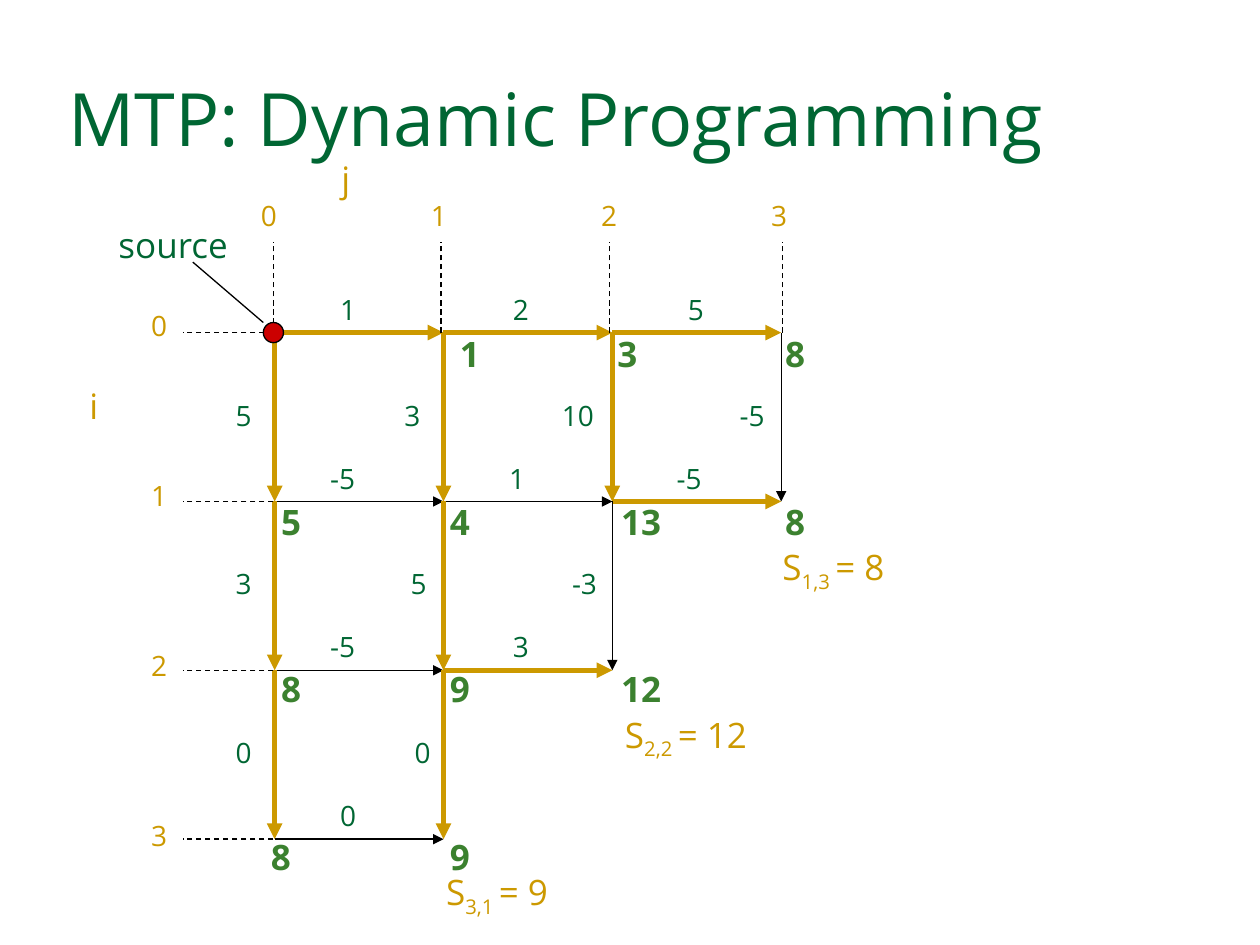
from lxml import etree
from pptx import Presentation
from pptx.dml.color import RGBColor
from pptx.enum.dml import MSO_LINE
from pptx.enum.shapes import MSO_CONNECTOR, MSO_SHAPE
from pptx.enum.text import MSO_ANCHOR
from pptx.oxml.ns import qn
from pptx.util import Inches, Pt

FONT = "Open Sans"
GREEN, GOLD, SCORE_GREEN = "006633", "CC9900", "3B812F"
BLACK, RED = "000000", "CC0000"

LEFT, TOP, STEP = 2.18, 2.64, 1.34
DASH = 0.72

# (row, column, weight, on a best path, label left)
ACROSS = [
    (0, 0, "1", True, 2.66), (0, 1, "2", True, 4.03), (0, 2, "5", True, 5.42),
    (1, 0, "-5", False, 2.58), (1, 1, "1", False, 4.0), (1, 2, "-5", True, 5.33),
    (2, 0, "-5", False, 2.58), (2, 1, "3", True, 4.03),
    (3, 0, "0", False, 2.66),
]
DOWN = [
    (0, 0, "5", True, 1.83), (0, 1, "3", True, 3.17),
    (0, 2, "10", True, 4.42), (0, 3, "-5", False, 5.83),
    (1, 0, "3", True, 1.83), (1, 1, "5", True, 3.22), (1, 2, "-3", False, 4.5),
    (2, 0, "0", True, 1.83), (2, 1, "0", True, 3.25),
]
# (row, score, left)
SCORES = [
    (0, "1", 3.61), (0, "3", 4.86), (0, "8", 6.19),
    (1, "5", 2.19), (1, "4", 3.53), (1, "13", 4.89), (1, "8", 6.19),
    (2, "8", 2.19), (2, "9", 3.53), (2, "12", 4.89),
    (3, "8", 2.11), (3, "9", 3.53),
]
# (subscript, value, left, top, width)
RESULTS = [
    ("3,1 ", "= 9", 3.5, 6.91, 1.17),
    ("2,2 ", "= 12", 4.92, 5.66, 1.42),
    ("1,3 ", "= 8", 6.17, 4.33, 1.17),
]
DASH_COLUMNS = [2.17, 3.5, 4.84, 6.21]

prs = Presentation()
prs.slide_width, prs.slide_height = Inches(10), Inches(7.5)
s = prs.slides.add_slide(prs.slide_layouts[6])


def rgb(value):
    return RGBColor.from_string(value)


def add_text(text, x, y, w, h, size=16, color=GREEN, bold=False, wrap=True):
    """Add a text box; text is a string or a list of (string, baseline) runs."""
    tf = s.shapes.add_textbox(Inches(x), Inches(y), Inches(w), Inches(h)).text_frame
    tf.word_wrap = wrap
    tf.vertical_anchor = MSO_ANCHOR.TOP
    tf.margin_left = tf.margin_right = Inches(0.04)
    tf.margin_top = tf.margin_bottom = 0
    p = tf.paragraphs[0]
    for part, baseline in [(text, 0)] if isinstance(text, str) else text:
        r = p.add_run()
        r.text = part
        r.font.name, r.font.size, r.font.bold = FONT, Pt(size), bold
        r.font.color.rgb = rgb(color)
        if baseline:
            r.font._element.set("baseline", str(baseline * 1000))


def add_line(x1, y1, x2, y2, color=BLACK, width=0.75, dashed=False, arrow=False):
    c = s.shapes.add_connector(MSO_CONNECTOR.STRAIGHT, Inches(x1), Inches(y1),
                               Inches(x2), Inches(y2))
    c.line.color.rgb = rgb(color)
    c.line.width = Pt(width)
    if dashed:
        c.line.dash_style = MSO_LINE.DASH
    sp_pr = c._element.spPr
    if arrow:
        etree.SubElement(sp_pr.find(qn("a:ln")), qn("a:tailEnd"), type="triangle")
    etree.SubElement(sp_pr, qn("a:effectLst"))


def add_edge(row, col, d_row, d_col, best):
    x, y = LEFT + STEP * col, TOP + STEP * row
    add_line(x, y, x + STEP * d_col, y + STEP * d_row, arrow=True,
             color=GOLD if best else BLACK, width=3 if best else 0.75)


add_text("MTP: Dynamic Programming", 0.5, 0.58, 9.08, 0.81, size=42)

for row, col, weight, best, x in ACROSS:
    add_edge(row, col, 0, 1, best)
    add_text(weight, x, TOP - 0.32 + STEP * row, 0.42, 0.36)
for row, col, weight, best, x in DOWN:
    add_edge(row, col, 1, 0, best)
    add_text(weight, x, TOP + 0.52 + STEP * row, 0.5, 0.36)

for n, x in enumerate(DASH_COLUMNS):
    y = TOP + STEP * n
    add_line(x, TOP, x, TOP - DASH, dashed=True)
    add_line(2.17, y, 2.17 - DASH, y, dashed=True)
    add_text(str(n), 2.03 + 1.35 * n, 1.58, 0.22, 0.27, color=GOLD, wrap=False)
    add_text(str(n), 1.16, 2.45 + 1.35 * n, 0.22, 0.27, color=GOLD, wrap=False)

add_text("i", 0.67, 3.05, 0.35, 0.43, size=20, color=GOLD)
add_text("j", 2.67, 1.25, 0.35, 0.43, size=20, color=GOLD)

source = s.shapes.add_shape(MSO_SHAPE.OVAL, Inches(2.09), Inches(2.56),
                            Inches(0.16), Inches(0.16))
source.shadow.inherit = False
source.fill.solid()
source.fill.fore_color.rgb = rgb(RED)
source.line.color.rgb = rgb(BLACK)
source.line.width = Pt(0.75)
add_text("source", 0.9, 1.77, 1.11, 0.43, size=20)
add_line(1.53, 2.08, 2.09, 2.56)

for row, score, x in SCORES:
    add_text(score, x, TOP + 1.33 * row, 0.09 + 0.16 * len(score), 0.33,
             size=20, color=SCORE_GREEN, bold=True, wrap=False)
for subscript, value, x, y, w in RESULTS:
    add_text([("S", 0), (subscript, -25), (value, 0)], x, y, w, 0.49,
             size=20, color=GOLD)

prs.save("out.pptx")
